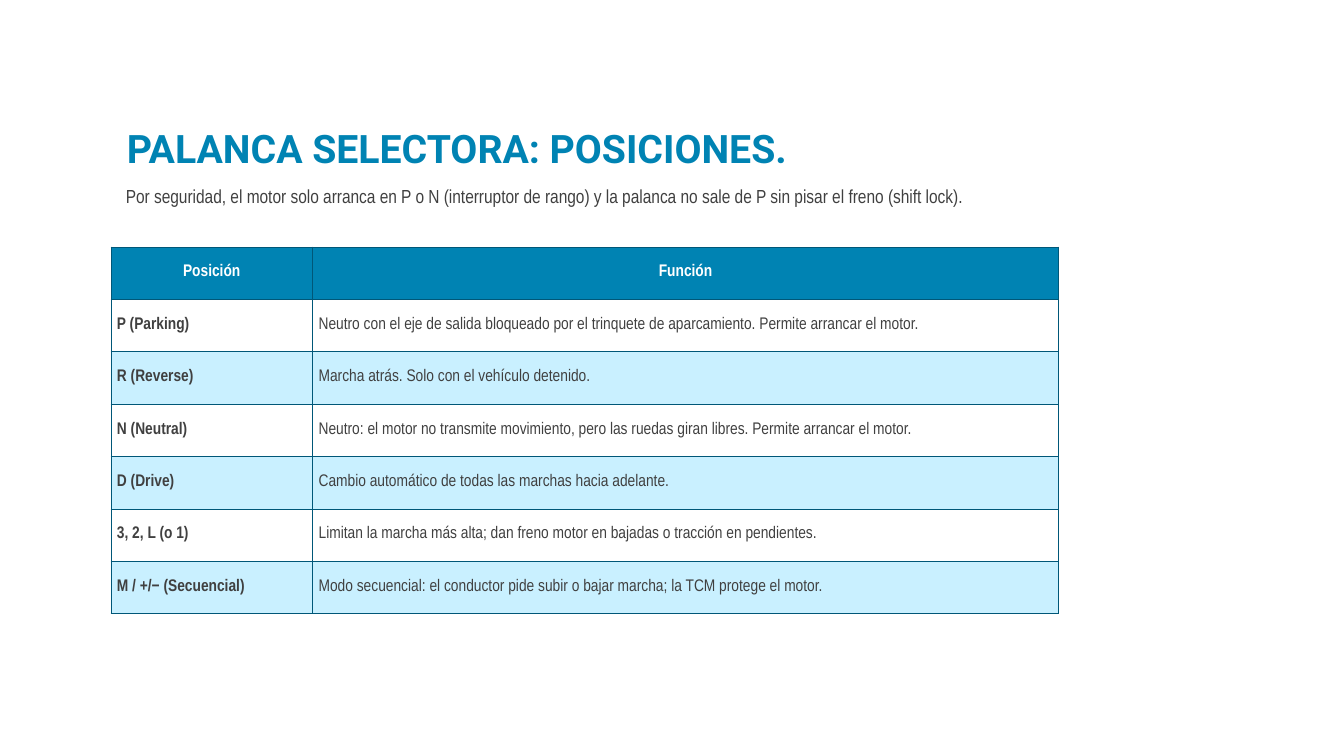
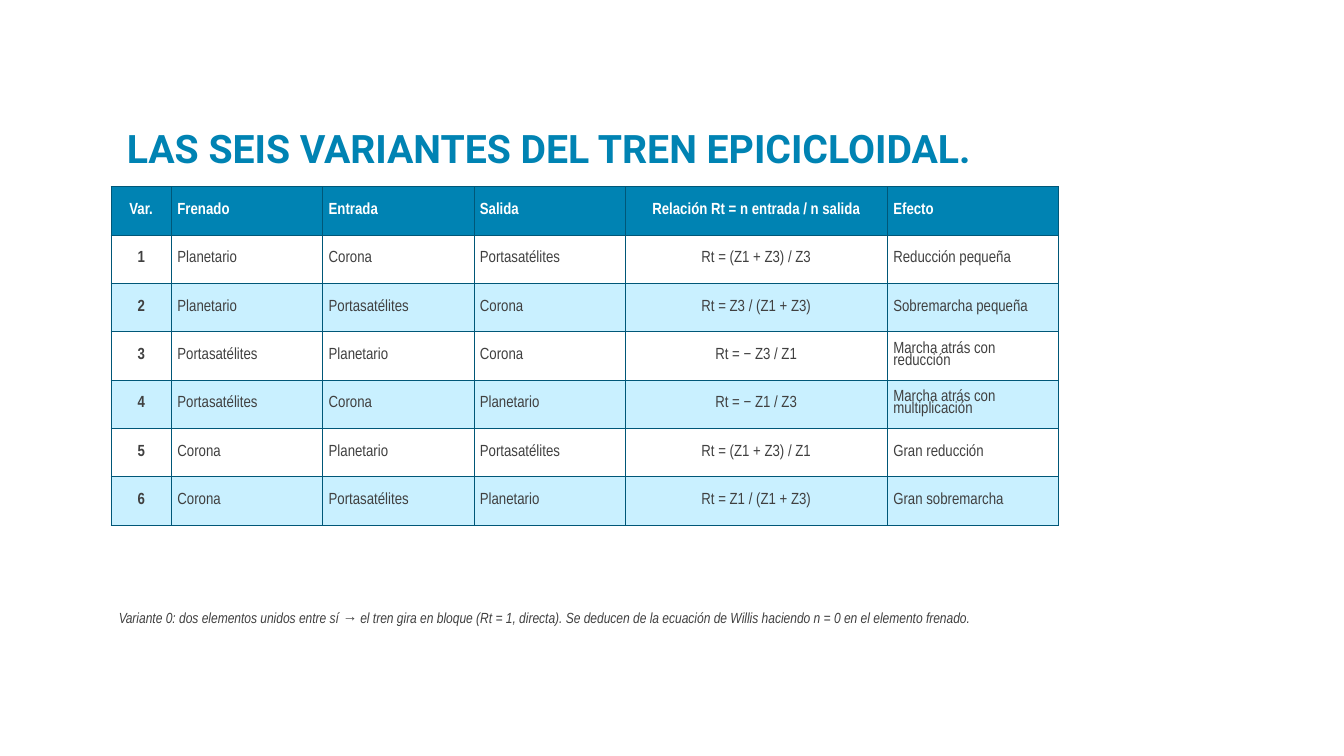
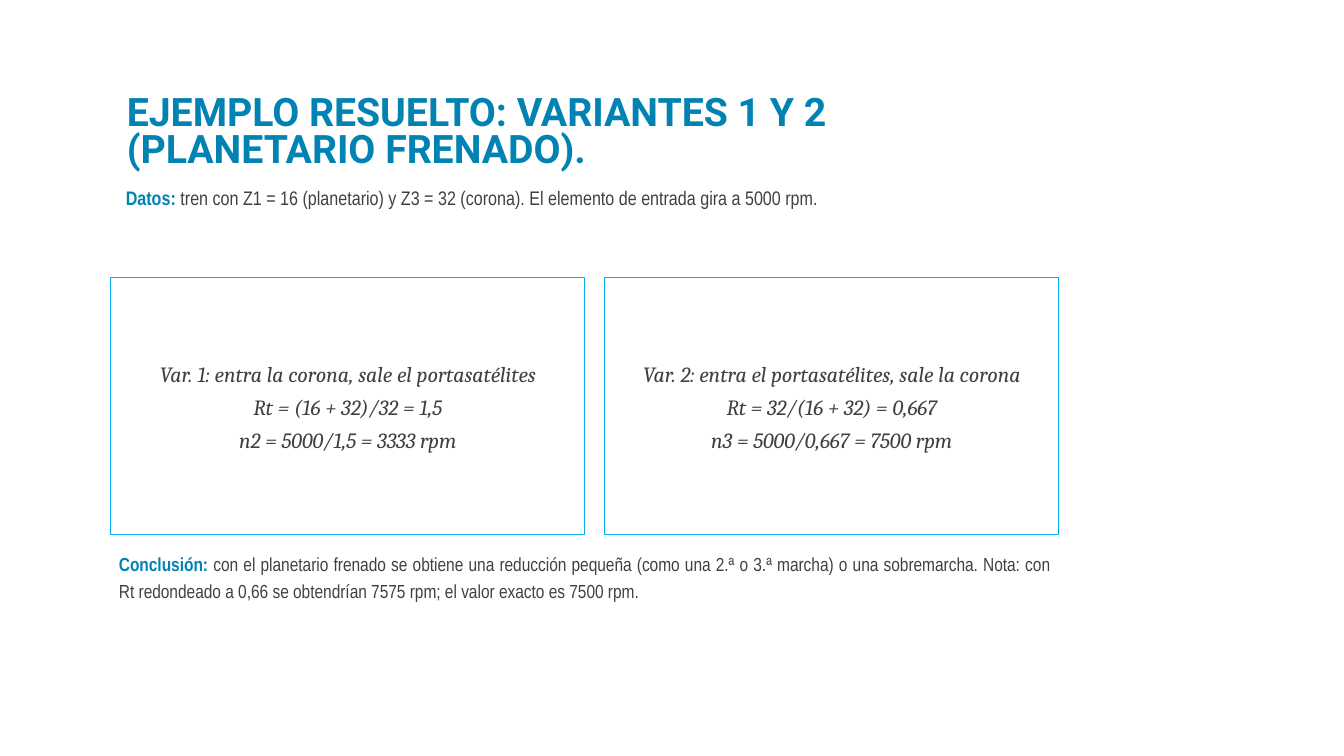
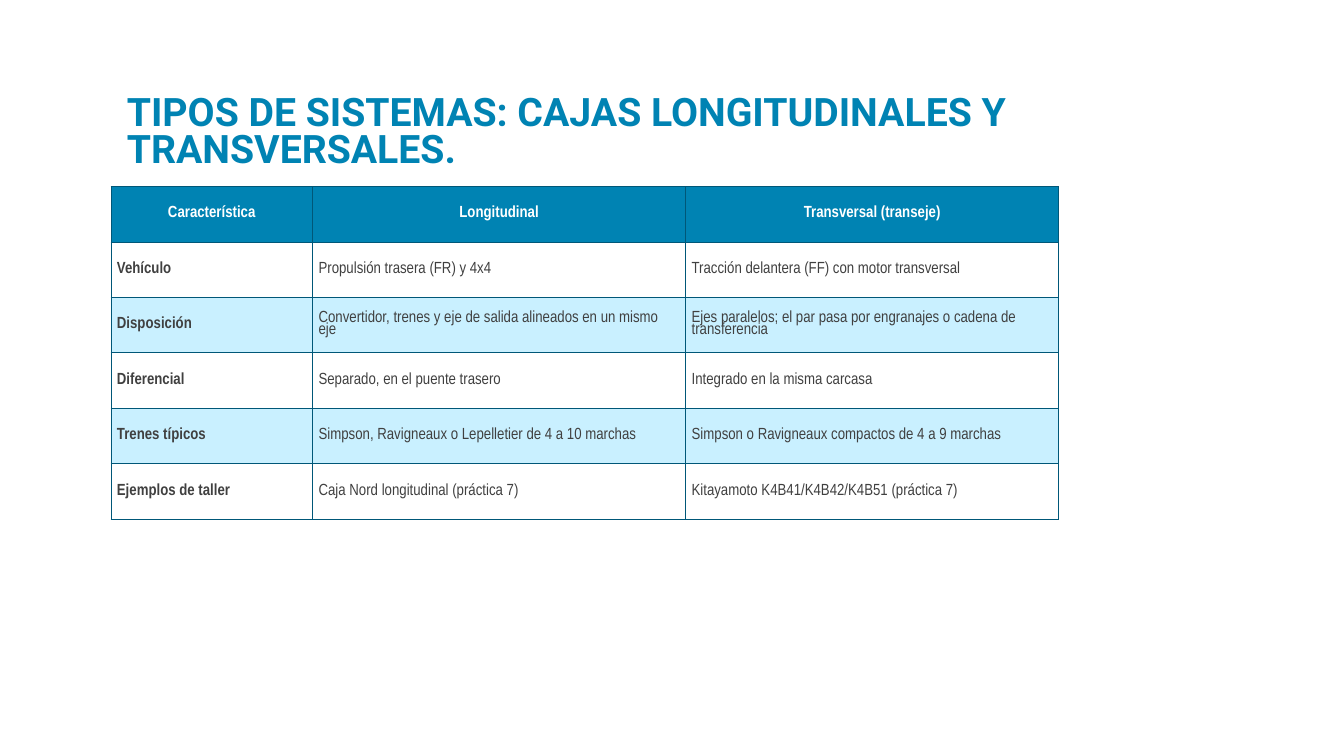
from dataclasses import dataclass

from lxml import etree
from pptx import Presentation
from pptx.dml.color import RGBColor
from pptx.enum.shapes import MSO_SHAPE
from pptx.enum.text import MSO_ANCHOR, PP_ALIGN
from pptx.oxml.ns import qn
from pptx.slide import Slide
from pptx.text.text import TextFrame
from pptx.util import Inches, Pt

LEFT, CENTER, JUSTIFY = PP_ALIGN.LEFT, PP_ALIGN.CENTER, PP_ALIGN.JUSTIFY
TOP, MIDDLE, BOTTOM = MSO_ANCHOR.TOP, MSO_ANCHOR.MIDDLE, MSO_ANCHOR.BOTTOM
RECTANGLE = MSO_SHAPE.RECTANGLE

COLORS = {
    "primary": "0083B3",
    "accent": "00AEEF",
    "border": "005778",
    "band": "C9F0FF",
    "text": "404040",
    "white": "FFFFFF",
}
TITLE_FONT, BODY_FONT, FORMULA_FONT = "Roboto", "Arial Narrow", "Cambria"
CONTENT_LEFT, CONTENT_WIDTH = 1.1, 9.4
WIDE_INSETS, BOX_INSETS, CELL_INSETS = (0.1, 0.05), (0.08, 0.04), (0.06, 0.04)


@dataclass
class Run:
    text: str
    size: float
    color: str = "text"
    font: str = BODY_FONT
    bold: bool = False
    italic: bool = False


@dataclass
class Para:
    runs: list[Run]
    align: PP_ALIGN = LEFT
    spacing: float = 1.0
    before: float = 0
    hanging: bool = False


@dataclass
class Box:
    left: float
    top: float
    width: float
    height: float


@dataclass
class TableData:
    top: float
    row_height: float
    size: float
    widths: list[float]
    header_aligns: list[PP_ALIGN]
    body_aligns: list[PP_ALIGN]
    rows: list[list[str]]


TITLE_BOX = Box(1.16, 0.58, 9.5, 1.17)

POSITIONS = TableData(
    2.45, 0.52, 12, [2, 7.4], [CENTER] * 2, [LEFT] * 2,
    [
        ["Posición", "Función"],
        ["P (Parking)", "Neutro con el eje de salida bloqueado por el trinquete de "
                        "aparcamiento. Permite arrancar el motor."],
        ["R (Reverse)", "Marcha atrás. Solo con el vehículo detenido."],
        ["N (Neutral)", "Neutro: el motor no transmite movimiento, pero las ruedas "
                        "giran libres. Permite arrancar el motor."],
        ["D (Drive)", "Cambio automático de todas las marchas hacia adelante."],
        ["3, 2, L (o 1)", "Limitan la marcha más alta; dan freno motor en bajadas "
                          "o tracción en pendientes."],
        ["M / +/− (Secuencial)", "Modo secuencial: el conductor pide subir o bajar "
                                 "marcha; la TCM protege el motor."],
    ],
)

VARIANT_ALIGNS = [CENTER, LEFT, LEFT, LEFT, CENTER, LEFT]
VARIANTS = TableData(
    1.85, 0.48, 11.5, [0.6, 1.5, 1.5, 1.5, 2.6, 1.7], VARIANT_ALIGNS, VARIANT_ALIGNS,
    [
        ["Var.", "Frenado", "Entrada", "Salida",
         "Relación Rt = n entrada / n salida", "Efecto"],
        ["1", "Planetario", "Corona", "Portasatélites",
         "Rt = (Z1 + Z3) / Z3", "Reducción pequeña"],
        ["2", "Planetario", "Portasatélites", "Corona",
         "Rt = Z3 / (Z1 + Z3)", "Sobremarcha pequeña"],
        ["3", "Portasatélites", "Planetario", "Corona",
         "Rt = − Z3 / Z1", "Marcha atrás con reducción"],
        ["4", "Portasatélites", "Corona", "Planetario",
         "Rt = − Z1 / Z3", "Marcha atrás con multiplicación"],
        ["5", "Corona", "Planetario", "Portasatélites",
         "Rt = (Z1 + Z3) / Z1", "Gran reducción"],
        ["6", "Corona", "Portasatélites", "Planetario",
         "Rt = Z1 / (Z1 + Z3)", "Gran sobremarcha"],
    ],
)

GEARBOXES = TableData(
    1.85, 0.55, 11.5, [2, 3.7, 3.7], [CENTER] * 3, [LEFT] * 3,
    [
        ["Característica", "Longitudinal", "Transversal (transeje)"],
        ["Vehículo", "Propulsión trasera (FR) y 4x4",
         "Tracción delantera (FF) con motor transversal"],
        ["Disposición", "Convertidor, trenes y eje de salida alineados en un mismo eje",
         "Ejes paralelos; el par pasa por engranajes o cadena de transferencia"],
        ["Diferencial", "Separado, en el puente trasero",
         "Integrado en la misma carcasa"],
        ["Trenes típicos", "Simpson, Ravigneaux o Lepelletier de 4 a 10 marchas",
         "Simpson o Ravigneaux compactos de 4 a 9 marchas"],
        ["Ejemplos de taller", "Caja Nord longitudinal (práctica 7)",
         "Kitayamoto K4B41/K4B42/K4B51 (práctica 7)"],
    ],
)

FORMULA_BOXES = [
    (Box(1.1, 2.75, 4.7, 2.55), [
        "Var. 1: entra la corona, sale el portasatélites",
        "Rt = (16 + 32)/32 = 1,5",
        "n2 = 5000/1,5 = 3333 rpm",
    ]),
    (Box(6, 2.75, 4.5, 2.55), [
        "Var. 2: entra el portasatélites, sale la corona",
        "Rt = 32/(16 + 32) = 0,667",
        "n3 = 5000/0,667 = 7500 rpm",
    ]),
]


def rgb(name: str) -> RGBColor:
    return RGBColor.from_string(COLORS[name])


def lengths(box: Box) -> list[Inches]:
    return [Inches(v) for v in (box.left, box.top, box.width, box.height)]


def set_attributes(target: object, values: dict) -> None:
    for name, value in values.items():
        setattr(target, name, value)


def margins(insets: tuple[float, float]) -> dict:
    side, end = Inches(insets[0]), Inches(insets[1])
    return {"margin_left": side, "margin_right": side,
            "margin_top": end, "margin_bottom": end}


def write(tf: TextFrame, paras: list[Para]) -> None:
    for i, para in enumerate(paras):
        p = tf.add_paragraph() if i else tf.paragraphs[0]
        set_attributes(p, {"alignment": para.align, "line_spacing": para.spacing,
                           "space_before": Pt(para.before)})
        if para.hanging:
            pPr = p._p.get_or_add_pPr()
            pPr.set("marL", str(Inches(0.3)))
            pPr.set("indent", str(Inches(-0.25)))
        for run in para.runs:
            r = p.add_run()
            r.text = run.text
            set_attributes(r.font, {"name": run.font, "size": Pt(run.size),
                                    "bold": run.bold, "italic": run.italic})
            r.font.color.rgb = rgb(run.color)


def fill_frame(tf: TextFrame, paras: list[Para], anchor: MSO_ANCHOR,
               insets: tuple[float, float]) -> None:
    set_attributes(tf, {"word_wrap": True, "vertical_anchor": anchor, **margins(insets)})
    write(tf, paras)


def add_text(slide: Slide, box: Box, para: Para, anchor: MSO_ANCHOR = TOP,
             insets: tuple[float, float] = WIDE_INSETS) -> None:
    sp = slide.shapes.add_textbox(*lengths(box))
    fill_frame(sp.text_frame, [para], anchor, insets)


def add_titled_slide(prs: Presentation, title: str) -> Slide:
    slide = prs.slides.add_slide(prs.slide_layouts[6])
    run = Run(title, 28, "primary", TITLE_FONT, bold=True)
    add_text(slide, TITLE_BOX, Para([run], spacing=0.8), BOTTOM)
    return slide


def add_intro(slide: Slide, height: float, runs: list[Run], spacing: float) -> None:
    """Add the paragraph that follows the title."""
    add_text(slide, Box(CONTENT_LEFT, 1.75, CONTENT_WIDTH, height),
             Para(runs, JUSTIFY, spacing, hanging=True))


def add_formula_box(slide: Slide, box: Box, lines: list[str]) -> None:
    sp = slide.shapes.add_shape(RECTANGLE, *lengths(box))
    sp.shadow.inherit = False
    sp.fill.background()
    sp.line.color.rgb = rgb("accent")
    sp.line.width = Pt(0.75)
    paras = [Para([Run(line, 15.5, font=FORMULA_FONT, italic=True)], CENTER, 1.1,
                  before=3 if i else 0) for i, line in enumerate(lines)]
    fill_frame(sp.text_frame, paras, MIDDLE, BOX_INSETS)


def add_borders(tcPr: etree._Element) -> None:
    for side in ("a:lnL", "a:lnR", "a:lnT", "a:lnB"):
        ln = etree.SubElement(tcPr, qn(side), w=str(Pt(0.5)))
        fill = etree.SubElement(ln, qn("a:solidFill"))
        etree.SubElement(fill, qn("a:srgbClr"), val=COLORS["border"])


def add_data_table(slide: Slide, data: TableData) -> None:
    box = Box(CONTENT_LEFT, data.top, CONTENT_WIDTH, data.row_height * len(data.rows))
    table = slide.shapes.add_table(len(data.rows), len(data.widths), *lengths(box)).table
    table.horz_banding = False
    for column, width in zip(table.columns, data.widths):
        column.width = Inches(width)
    for i, texts in enumerate(data.rows):
        header = i == 0
        table.rows[i].height = Inches(data.row_height)
        fill = "primary" if header else "white" if i % 2 else "band"
        color = "white" if header else "text"
        aligns = data.header_aligns if header else data.body_aligns
        for j, (text, align) in enumerate(zip(texts, aligns)):
            cell = table.cell(i, j)
            set_attributes(cell, {"vertical_anchor": MIDDLE, **margins(CELL_INSETS)})
            add_borders(cell._tc.get_or_add_tcPr())
            cell.fill.solid()
            cell.fill.fore_color.rgb = rgb(fill)
            run = Run(text, data.size, color, bold=header or j == 0)
            write(cell.text_frame, [Para([run], align, 0.8)])


def build_positions(prs: Presentation) -> None:
    slide = add_titled_slide(prs, "PALANCA SELECTORA: POSICIONES.")
    add_intro(slide, 0.7, [
        Run("Por seguridad, el motor solo arranca en P o N (interruptor de rango) y la "
            "palanca no sale de P sin pisar el freno (shift lock).", 13.5),
    ], 1.15)
    add_data_table(slide, POSITIONS)


def build_variants(prs: Presentation) -> None:
    slide = add_titled_slide(prs, "LAS SEIS VARIANTES DEL TREN EPICICLOIDAL.")
    add_data_table(slide, VARIANTS)
    note = Run("Variante 0: dos elementos unidos entre sí → el tren gira en bloque "
               "(Rt = 1, directa). Se deducen de la ecuación de Willis haciendo n = 0 "
               "en el elemento frenado.", 10.5, italic=True)
    add_text(slide, Box(CONTENT_LEFT, 6, 9, 0.3), Para([note]), insets=BOX_INSETS)


def build_example(prs: Presentation) -> None:
    slide = add_titled_slide(
        prs, "EJEMPLO RESUELTO: VARIANTES 1 Y 2 (PLANETARIO FRENADO).")
    add_intro(slide, 0.95, [
        Run("Datos: ", 14, "primary", bold=True),
        Run("tren con Z1 = 16 (planetario) y Z3 = 32 (corona). El elemento de entrada "
            "gira a 5000 rpm.", 14),
    ], 1.2)
    for box, lines in FORMULA_BOXES:
        add_formula_box(slide, box, lines)
    conclusion = [
        Run("Conclusión: ", 13.5, "primary", bold=True),
        Run("con el planetario frenado se obtiene una reducción pequeña (como una 2.ª o "
            "3.ª marcha) o una sobremarcha. Nota: con Rt redondeado a 0,66 se obtendrían "
            "7575 rpm; el valor exacto es 7500 rpm.", 13.5),
    ]
    add_text(slide, Box(CONTENT_LEFT, 5.4, CONTENT_WIDTH, 0.85),
             Para(conclusion, JUSTIFY, 1.18), insets=BOX_INSETS)


def build_gearboxes(prs: Presentation) -> None:
    slide = add_titled_slide(
        prs, "TIPOS DE SISTEMAS: CAJAS LONGITUDINALES Y TRANSVERSALES.")
    add_data_table(slide, GEARBOXES)


def main() -> None:
    prs = Presentation()
    prs.slide_width, prs.slide_height = Inches(13.33), Inches(7.5)
    for build in (build_positions, build_variants, build_example, build_gearboxes):
        build(prs)
    prs.save("out.pptx")


if __name__ == "__main__":
    main()
